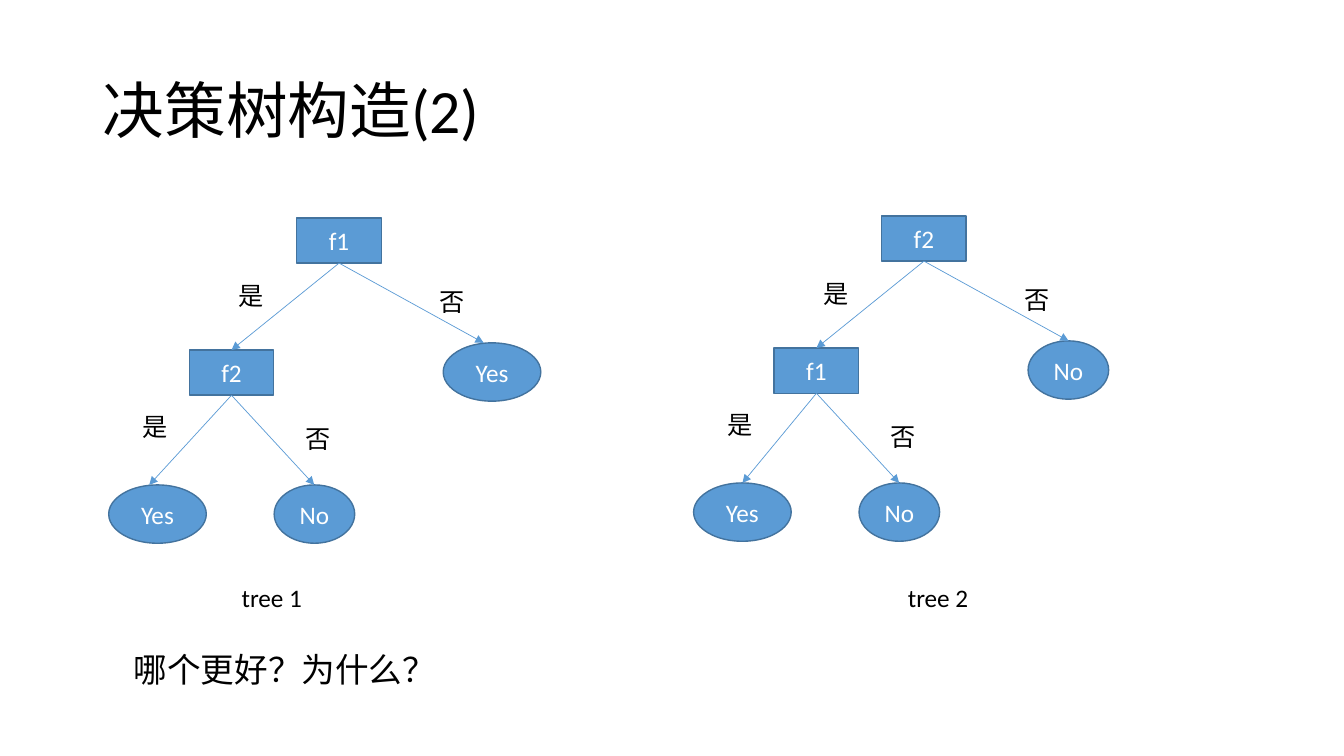
from lxml import etree
from pptx import Presentation
from pptx.dml.color import RGBColor
from pptx.enum.shapes import MSO_CONNECTOR, MSO_SHAPE
from pptx.enum.text import MSO_ANCHOR, MSO_AUTO_SIZE, PP_ALIGN
from pptx.oxml.ns import qn
from pptx.util import Cm, Pt

RECT, OVAL = MSO_SHAPE.RECTANGLE, MSO_SHAPE.OVAL
LINE = MSO_CONNECTOR.STRAIGHT
LEFT, CENTER = PP_ALIGN.LEFT, PP_ALIGN.CENTER
MIDDLE, FIXED = MSO_ANCHOR.MIDDLE, MSO_AUTO_SIZE.NONE

COLORS = {"fill": "5B9BD5", "edge": "43739E", "text": "000000", "node": "FFFFFF"}
FONT = "Calibri"
BOX_W, BOX_H = 2.13, 1.14
OVAL_W, OVAL_H = {"Yes": 2.46, "No": 2.03}, 1.47


def color(name):
    return RGBColor.from_string(COLORS[name])


def write(frame, text, size, tint="text", align=LEFT):
    para = frame.paragraphs[0]
    para.alignment = align
    run = para.add_run()
    run.text = text
    run.font.name = FONT
    run.font.size = Pt(size)
    run.font.color.rgb = color(tint)
    return para


def add_title(slide, text, x, y, w, h):
    title = slide.shapes.title
    title.left, title.top, title.width, title.height = Cm(x), Cm(y), Cm(w), Cm(h)
    frame = title.text_frame
    frame.auto_size = FIXED
    frame.vertical_anchor = MIDDLE
    write(frame, text, 44).line_spacing = 0.9


def add_label(shapes, text, x, y, w, h=1.02, size=18):
    label = shapes.add_textbox(Cm(x), Cm(y), Cm(w), Cm(h))
    label.text_frame.word_wrap = False
    write(label.text_frame, text, size)


def add_node(shapes, kind, text, x, y, w, h):
    node = shapes.add_shape(kind, Cm(x), Cm(y), Cm(w), Cm(h))
    node.shadow.inherit = False
    node.fill.solid()
    node.fill.fore_color.rgb = color("fill")
    node.line.color.rgb = color("edge")
    node.line.width = Pt(1)
    node.text_frame.vertical_anchor = MIDDLE
    write(node.text_frame, text, 18, "node", CENTER)


def add_arrow(shapes, start, end):
    arrow = shapes.add_connector(LINE, *(Cm(v) for v in start + end))
    arrow.line.color.rgb = color("fill")
    arrow.line.width = Pt(0.5)
    etree.SubElement(arrow.line._get_or_add_ln(), qn("a:tailEnd"), type="triangle")
    etree.SubElement(arrow._element.spPr, qn("a:effectLst"))


def add_tree(slide, x, y, root, child, leaf, tip):
    shapes = slide.shapes.add_group_shape().shapes
    for text, dx, dy in [(root, 4.74, 0), (child, 2.03, 3.33)]:
        add_node(shapes, RECT, text, x + dx, y + dy, BOX_W, BOX_H)
    for text, dx, dy in [(leaf, 8.43, 3.15), ("Yes", 0, 6.73), ("No", 4.17, 6.73)]:
        add_node(shapes, OVAL, text, x + dx, y + dy, OVAL_W[text], OVAL_H)

    top = (x + 4.74 + BOX_W / 2, y + BOX_H)
    mid = (x + 2.03 + BOX_W / 2, y + 3.33 + BOX_H)
    add_arrow(shapes, top, (mid[0], y + 3.33))
    add_arrow(shapes, top, (x + 9.45, y + 3.15))
    add_arrow(shapes, mid, (x + tip, y + 6.73))
    add_arrow(shapes, mid, (x + 5.18, y + 6.73))

    for text, dx, dy in [("是", 3.02, 1.45), ("否", 8.08, 1.6),
                         ("是", 0.61, 4.75), ("否", 4.7, 5.05)]:
        add_label(shapes, text, x + dx, y + dy, 1.14)


def main():
    deck = Presentation()
    deck.slide_width, deck.slide_height = Cm(33.87), Cm(19.05)
    slide = deck.slides.add_slide(deck.slide_layouts[5])
    add_title(slide, "决策树构造(2)", 2.34, 1.02, 29.21, 3.68)
    add_tree(slide, 17.48, 5.44, "f2", "f1", "No", 1.23)
    add_tree(slide, 2.74, 5.49, "f1", "f2", "Yes", 1.02)
    add_label(slide.shapes, "哪个更好？为什么？", 3.12, 16.23, 8.2, 1.27, 24)
    for text, x in [("tree 1", 5.84), ("tree 2", 22.63)]:
        add_label(slide.shapes, text, x, 14.55, 2.13)
    deck.save("out.pptx")


if __name__ == "__main__":
    main()
